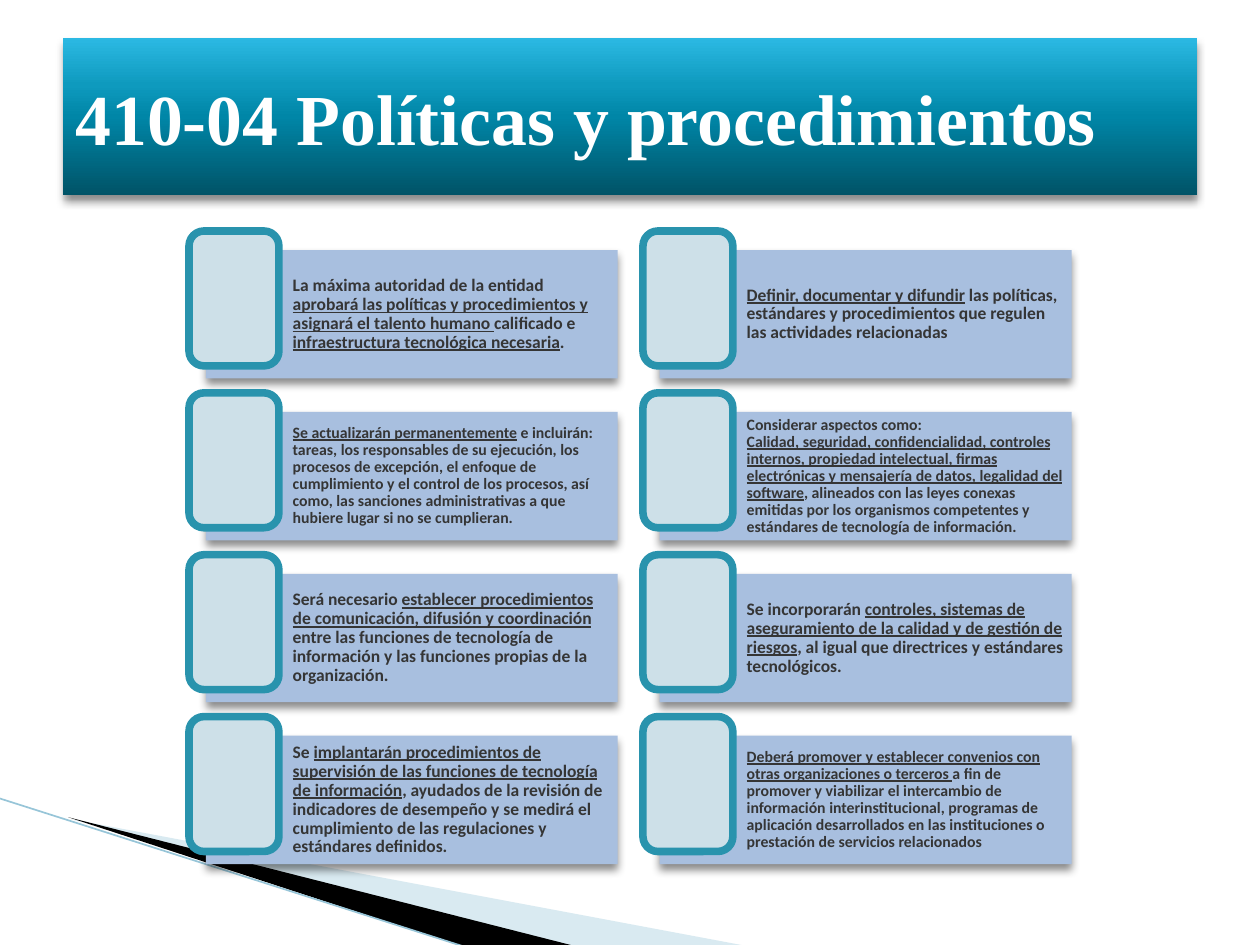
from lxml import etree
from pptx import Presentation
from pptx import util as u
from pptx.dml import color as dml
from pptx.enum import shapes, text
from pptx.oxml import ns, parse_xml

Pt = u.Pt
COLOURS = {
    "body": "A8BFDF", "ink": "353535", "frame": "CDE0E8", "edge": "2993AD",
    "pale": "A0CBDC", "black": "000000", "white": "FFFFFF", "thread": "97C5D8",
}
TITLE = "410-04 Políticas y procedimientos"
TITLE_STOPS = [(0, "005367"), (50, "0086A7"), (70, "0E9ABE"), (100, "2CB9E3")]
POLICIES = [
    (10, "La máxima autoridad de la entidad _aprobará las políticas y procedimientos y "
         "asignará el talento humano _calificado e _infraestructura tecnológica necesaria_."),
    (10, "_Definir, documentar y difundir_ las políticas, estándares y procedimientos "
         "que regulen las actividades relacionadas"),
    (9, "_Se actualizarán permanentemente_ e incluirán: tareas, los responsables de su "
        "ejecución, los procesos de excepción, el enfoque de cumplimiento y el control de los "
        "procesos, así como, las sanciones administrativas a que hubiere lugar si no se cumplieran."),
    (9, "Considerar aspectos como:\n_Calidad, seguridad, confidencialidad, controles internos, "
        "propiedad intelectual, firmas electrónicas y mensajería de datos, legalidad del software_, "
        "alineados con las leyes conexas emitidas por los organismos competentes y estándares de "
        "tecnología de información."),
    (10, "Será necesario _establecer procedimientos de comunicación, difusión y coordinación _"
         "entre las funciones de tecnología de información y las funciones propias de la organización."),
    (10, "Se incorporarán _controles, sistemas de aseguramiento de la calidad y de gestión de "
         "riesgos_, al igual que directrices y estándares tecnológicos."),
    (10, "Se _implantarán procedimientos de supervisión de las funciones de tecnología de "
         "información_, ayudados de la revisión de indicadores de desempeño y se medirá el "
         "cumplimiento de las regulaciones y estándares definidos."),
    (9, "_Deberá promover y establecer convenios con otras organizaciones o terceros _a fin de "
        "promover y viabilizar el intercambio de información interinstitucional, programas de "
        "aplicación desarrollados en las instituciones o prestación de servicios relacionados"),
]


def rgb(name):
    """Return the named colour."""
    return dml.RGBColor.from_string(COLOURS[name])


def paint(shape, fill):
    """Give a shape a plain fill with no outline or shadow."""
    shape.shadow.inherit = False
    shape.fill.solid()
    shape.fill.fore_color.rgb = rgb(fill)
    shape.line.fill.background()


def add_shadow(shape):
    """Drop a soft shadow below a shape."""
    effects = shape._element.spPr.find(ns.qn("a:effectLst"))
    shadow = etree.SubElement(effects, ns.qn("a:outerShdw"), blurRad=str(Pt(5)),
                              dist=str(Pt(3)), dir="5400000", rotWithShape="0")
    shade = etree.SubElement(shadow, ns.qn("a:srgbClr"), val=COLOURS["black"])
    etree.SubElement(shade, ns.qn("a:alpha"), val="45000")


def add_block(page, kind, left, top, width, height, fill):
    """Add a plain filled preset shape."""
    shape = page.shapes.add_shape(kind, Pt(left), Pt(top), Pt(width), Pt(height))
    paint(shape, fill)
    return shape


def style_span(span, font, size, colour):
    """Set the bold font of a run."""
    span.font.name = font
    span.font.size = Pt(size)
    span.font.bold = True
    span.font.color.rgb = rgb(colour)


def add_swoosh(page, left, top):
    """Draw the curved bands of the bottom left corner."""
    bands = [
        ("pale", [(40, 8), (429, 81), (329, 81)]),
        ("black", [(39, 7), (330, 81), (268, 82)]),
    ]
    for fill, points in bands:
        start, *rest = [(left + x, top + y + 4) for x, y in points]
        builder = page.shapes.build_freeform(*start, scale=Pt(1))
        builder.add_line_segments(rest, close=True)
        band = builder.convert_to_shape()
        paint(band, fill)
        if fill == "pale":
            shade = band._element.spPr.find(".//" + ns.qn("a:srgbClr"))
            etree.SubElement(shade, ns.qn("a:alpha"), val="40000")
    thread = page.shapes.add_connector(shapes.MSO_CONNECTOR.STRAIGHT, Pt(left - 1), Pt(top),
                                       Pt(left + 267), Pt(top + 85.5))
    thread.line.color.rgb = rgb("thread")
    thread.line.width = Pt(0.95)
    etree.SubElement(thread._element.spPr, ns.qn("a:effectLst"))


def add_policy(page, left, top, size, wording):
    """Place one policy: a text panel with an empty frame over its corner."""
    panel = add_block(page, shapes.MSO_SHAPE.RECTANGLE, left + 9.6, top + 10.9, 235.4, 73.4, "body")
    add_shadow(panel)
    frame = panel.text_frame
    frame.word_wrap = True
    frame.vertical_anchor = text.MSO_ANCHOR.MIDDLE
    frame.margin_left = Pt(49.7)
    frame.margin_top = frame.margin_right = frame.margin_bottom = Pt(2.9)
    for row, line in enumerate(wording.split("\n")):
        para = frame.add_paragraph() if row else frame.paragraphs[0]
        para.alignment = text.PP_ALIGN.LEFT
        para.line_spacing = 0.9
        for index, part in enumerate(line.split("_")):
            if part:
                span = para.add_run()
                span.text = part
                style_span(span, "Calibri", size, "ink")
                span.font.underline = index % 2 == 1
    badge = add_block(page, shapes.MSO_SHAPE.FLOWCHART_ALTERNATE_PROCESS, left, top, 51.4, 77.1, "frame")
    badge.line.color.rgb = rgb("edge")
    badge.line.width = Pt(4.33)


def add_policies(page, left, top):
    """Lay the policies out in two columns, row by row."""
    for index, (size, wording) in enumerate(POLICIES):
        row, column = divmod(index, 2)
        add_policy(page, left + column * 259.4, top + row * 92.5, size, wording)


def add_title(page, left, top, width, height):
    """Place the title on its gradient banner."""
    banner = add_block(page, shapes.MSO_SHAPE.RECTANGLE, left, top, width, height, "edge")
    add_shadow(banner)
    stops = "".join(f'<a:gs pos="{at * 1000}"><a:srgbClr val="{shade}"/></a:gs>'
                    for at, shade in TITLE_STOPS)
    gradient = parse_xml(f'<a:gradFill {ns.nsdecls("a")} rotWithShape="1"><a:gsLst>{stops}</a:gsLst>'
                         '<a:lin ang="16200000" scaled="0"/></a:gradFill>')
    props = banner._element.spPr
    props.replace(props.find(ns.qn("a:solidFill")), gradient)
    frame = banner.text_frame
    frame.text = TITLE
    frame.word_wrap = True
    frame.vertical_anchor = text.MSO_ANCHOR.MIDDLE
    para = frame.paragraphs[0]
    para.alignment = text.PP_ALIGN.LEFT
    style_span(para.runs[0], "Times New Roman", 41, "white")


def main():
    """Build the deck and save it."""
    deck = Presentation()
    deck.slide_width, deck.slide_height = Pt(720), Pt(540)
    page = deck.slides.add_slide(deck.slide_layouts[6])
    add_swoosh(page, 0, 456)
    add_policies(page, 108, 132)
    add_title(page, 36, 21.6, 648, 90)
    deck.save("out.pptx")


if __name__ == "__main__":
    main()
